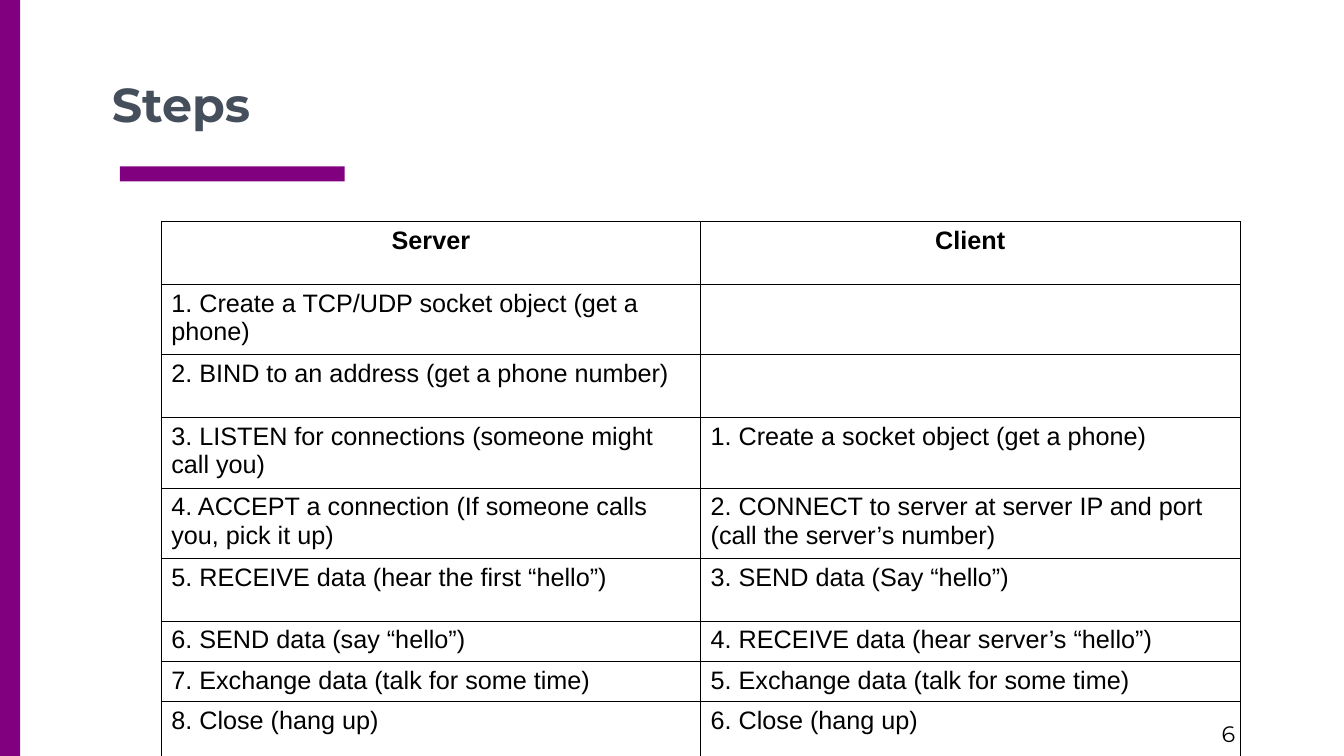
from lxml.etree import SubElement
from pptx import Presentation
from pptx.dml.color import RGBColor
from pptx.enum.shapes import MSO_SHAPE
from pptx.enum.text import MSO_ANCHOR, PP_ALIGN
from pptx.oxml.ns import qn
from pptx.util import Inches, Pt

PURPLE = RGBColor(0x80, 0x00, 0x80)
SLATE = RGBColor(0x45, 0x4F, 0x5B)
BLACK = RGBColor(0x00, 0x00, 0x00)

UNIT = Inches(0.1)
PAGE_COLUMNS, PAGE_ROWS = 133.33, 75
BORDER_WIDTH = Pt(0.57)

TITLE_FONT = {"name": "Montserrat", "size": Pt(34), "bold": True}
NUMBER_FONT = {"name": "Montserrat", "size": Pt(16), "bold": False}
HEADER_FONT = {"name": "Arial", "size": Pt(18), "bold": True}
BODY_FONT = HEADER_FONT | {"bold": False}

ONE_LINE, PADDED, TWO_LINES = 3.8, 6.2, 6.6
STEPS = [
    (PADDED, "Server", "Client"),
    (TWO_LINES, "1. Create a TCP/UDP socket object (get a phone)", ""),
    (PADDED, "2. BIND to an address (get a phone number)", ""),
    (TWO_LINES, "3. LISTEN for connections (someone might call you)",
     "1. Create a socket object (get a phone)"),
    (TWO_LINES, "4. ACCEPT a connection (If someone calls you, pick it up)",
     "2. CONNECT to server at server IP and port (call the server’s number)"),
    (PADDED, "5. RECEIVE data (hear the first “hello”)", "3. SEND data (Say “hello”)"),
    (ONE_LINE, "6. SEND data (say “hello”)", "4. RECEIVE data (hear server’s “hello”)"),
    (ONE_LINE, "7. Exchange data (talk for some time)", "5. Exchange data (talk for some time)"),
    (TWO_LINES, "8. Close (hang up)", "6. Close (hang up)"),
]


def grid(*cells):
    return [round(cell * UNIT) for cell in cells]


def set_all(target, values):
    for name, value in values.items():
        setattr(target, name, value)


def write(frame, text, font, color, align=PP_ALIGN.LEFT):
    para = frame.paragraphs[0]
    para.alignment = align
    set_all(para.font, font)
    if text:
        span = para.add_run()
        span.text = text
        set_all(span.font, font)
        span.font.color.rgb = color


def add_bar(page, *place):
    bar = page.shapes.add_shape(MSO_SHAPE.RECTANGLE, *grid(*place))
    bar.shadow.inherit = False
    bar.fill.solid()
    bar.fill.fore_color.rgb = PURPLE
    bar.line.fill.background()


def add_title(page, text, *place):
    title = page.shapes.title
    set_all(title, dict(zip(("left", "top", "width", "height"), grid(*place))))
    margins = dict.fromkeys(("margin_left", "margin_top", "margin_right", "margin_bottom"), UNIT)
    set_all(title.text_frame, margins | {"vertical_anchor": MSO_ANCHOR.BOTTOM, "word_wrap": True})
    write(title.text_frame, text, TITLE_FONT, SLATE)


def add_number(page, text, *place):
    box = page.shapes.add_textbox(*grid(*place))
    box.text_frame.word_wrap = True
    write(box.text_frame, text, NUMBER_FONT, BLACK)


def add_borders(cell):
    properties = cell._tc.get_or_add_tcPr()
    for position, side in enumerate(("a:lnL", "a:lnR", "a:lnT", "a:lnB")):
        line = SubElement(properties, qn(side), w=str(BORDER_WIDTH))
        fill = SubElement(line, qn("a:solidFill"))
        SubElement(fill, qn("a:srgbClr"), val=str(BLACK))
        properties.insert(position, line)


def add_steps(page, left, top, width):
    height = sum(step[0] for step in STEPS)
    table = page.shapes.add_table(len(STEPS), 2, *grid(left, top, width, height)).table
    set_all(table, {"first_row": False, "horz_banding": False})
    for index, (row_height, *texts) in enumerate(STEPS):
        table.rows[index].height = grid(row_height)[0]
        font, align = (BODY_FONT, PP_ALIGN.LEFT) if index else (HEADER_FONT, PP_ALIGN.CENTER)
        for cell, text in zip(table.rows[index].cells, texts):
            cell.fill.background()
            add_borders(cell)
            write(cell.text_frame, text, font, BLACK, align)


def main():
    deck = Presentation()
    deck.slide_width, deck.slide_height = grid(PAGE_COLUMNS, PAGE_ROWS)
    page = deck.slides.add_slide(deck.slide_layouts[5])
    add_bar(page, 11.9, 16.5, 22.3, 1.5)
    add_bar(page, 0, 0, 2, PAGE_ROWS)
    add_number(page, "6", 120.2, 71, 13, 4)
    add_title(page, "Steps", 10.1, 0, 113.1, 14.1)
    add_steps(page, 16, 22, 107)
    deck.save("out.pptx")


if __name__ == "__main__":
    main()
